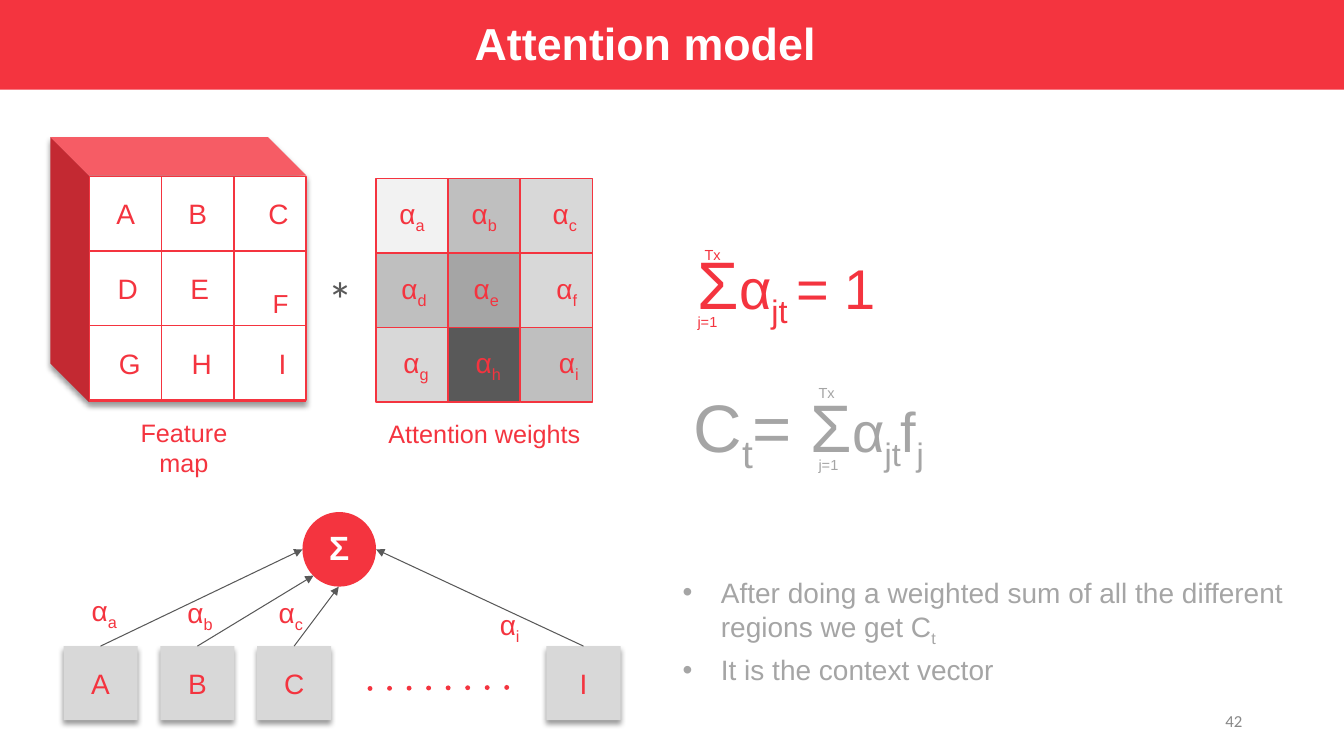
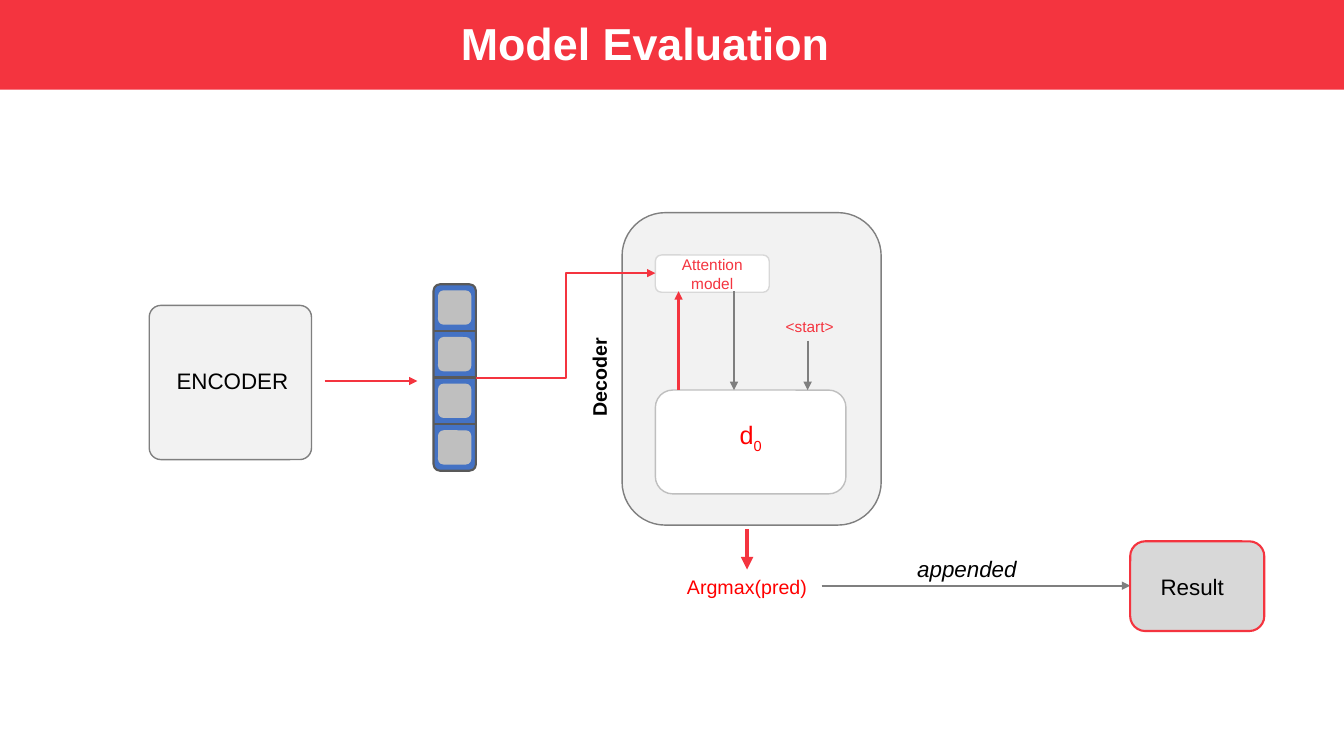
from lxml import etree
from pptx import Presentation
from pptx.dml.color import RGBColor
from pptx.enum.shapes import MSO_CONNECTOR, MSO_SHAPE
from pptx.enum.text import MSO_ANCHOR, MSO_AUTO_SIZE, PP_ALIGN
from pptx.oxml.ns import qn
from pptx.util import Inches, Pt

COLORS = {
    "red": "F4343F", "pure_red": "FF0000", "white": "FFFFFF", "black": "000000",
    "pale": "F2F2F2", "light": "D8D8D8", "silver": "BFBFBF", "gray": "A5A5A5",
    "page": "888888", "mid": "7F7F7F", "dark": "595959", "blue": "4472C4",
}
SLIDE_WIDTH, SLIDE_HEIGHT = 13.33, 7.5
BAND_HEIGHT = 0.89
TITLE_ONLY, TITLE_AND_CONTENT = 5, 1
CELL_WIDTH, CELL_HEIGHT = 0.715, 0.74


def rgb(name):
    return RGBColor.from_string(COLORS[name])


def inches(*lengths):
    return [Inches(length) for length in lengths]


def add_xml(parent, tag, **attributes):
    return etree.SubElement(parent, qn(tag), attributes)


def write(paragraph, runs, size, color, font="Arial", bold=False, italic=False,
          align=PP_ALIGN.CENTER):
    """Fill a paragraph; a run is text or (text, size), and a leading _ lowers it."""
    paragraph.alignment = align
    paragraph.font.name = font
    paragraph.font.size = Pt(size)
    paragraph.font.bold = bold
    paragraph.font.italic = italic
    paragraph.font.color.rgb = rgb(color)
    for part in [runs] if isinstance(runs, str) else runs:
        text, run_size = part if isinstance(part, tuple) else (part, None)
        run = paragraph.add_run()
        run.text = text.removeprefix("_")
        if run_size:
            run.font.size = Pt(run_size)
        if text.startswith("_"):
            run._r.get_or_add_rPr().set("baseline", "-25000")


def add_label(slide, box, runs, size, color="red", **style):
    label = slide.shapes.add_textbox(*inches(*box))
    label.text_frame.word_wrap = True
    write(label.text_frame.paragraphs[0], runs, size, color, **style)
    return label


def add_box(slide, box, fill, line=None, width=1, kind=MSO_SHAPE.RECTANGLE,
            corner=None, shadow=False):
    shape = slide.shapes.add_shape(kind, *inches(*box))
    shape.shadow.inherit = False
    if shadow:
        effects = shape.element.spPr.find(qn("a:effectLst"))
        outer = add_xml(effects, "a:outerShdw", blurRad=str(Pt(4)), dist=str(Pt(3)),
                        dir="5400000", algn="t", rotWithShape="0")
        black = add_xml(outer, "a:srgbClr", val=COLORS["black"])
        add_xml(black, "a:alpha", val="40000")
    shape.fill.solid()
    shape.fill.fore_color.rgb = rgb(fill)
    if line:
        shape.line.color.rgb = rgb(line)
        shape.line.width = Pt(width)
    else:
        shape.line.fill.background()
    if corner is not None:
        shape.adjustments[0] = corner
    return shape


def add_round_box(slide, box, fill, line=None, width=1, corner=0.167):
    return add_box(slide, box, fill, line, width, MSO_SHAPE.ROUNDED_RECTANGLE, corner)


def caption(shape, runs, size, color, insets=(0, 0, 0, 0), wrap=False, **style):
    """Centre text in a shape; insets are left, top, right, bottom."""
    frame = shape.text_frame
    (frame.margin_left, frame.margin_top,
     frame.margin_right, frame.margin_bottom) = inches(*insets)
    frame.word_wrap = wrap
    frame.vertical_anchor = MSO_ANCHOR.MIDDLE
    write(frame.paragraphs[0], runs, size, color, **style)


def add_line(slide, start, end, color, width, arrow=True, kind=MSO_CONNECTOR.STRAIGHT,
             dotted=False):
    connector = slide.shapes.add_connector(kind, *inches(*start, *end))
    connector.line.color.rgb = rgb(color)
    connector.line.width = Pt(width)
    properties = connector.element.spPr
    outline = properties.find(qn("a:ln"))
    if dotted:
        outline.set("cap", "rnd")
        add_xml(outline, "a:prstDash", val="dot")
    if arrow:
        add_xml(outline, "a:tailEnd", type="triangle")
    add_xml(properties, "a:effectLst")


def add_titled_slide(deck, layout, title):
    slide = deck.slides.add_slide(deck.slide_layouts[layout])
    band = add_box(slide, (0, 0, SLIDE_WIDTH, BAND_HEIGHT), "red")
    slide.shapes._spTree.insert(2, band.element)
    heading = slide.shapes.title
    heading.left, heading.top, heading.width, heading.height = inches(2.19, 0.1, 8.42, 0.64)
    heading.text_frame.auto_size = MSO_AUTO_SIZE.NONE
    heading.text_frame.vertical_anchor = MSO_ANCHOR.MIDDLE
    write(heading.text_frame.paragraphs[0], title, 32, "white", bold=True)
    return slide


def add_grid(slide, left, top, rows):
    """Three by three cells, each given as (runs, size, fill)."""
    for row, cells in enumerate(rows):
        for column, (runs, size, fill) in enumerate(cells):
            cell = add_box(slide, (left + column * CELL_WIDTH, top + row * CELL_HEIGHT,
                                   CELL_WIDTH, CELL_HEIGHT), fill, "red")
            indent = 0.04 * row + (0.17 if column == 2 else 0)
            caption(cell, runs, size, "red", (indent, 0, 0, 0))


def add_feature_map(slide, left, top):
    cube = add_box(slide, (left, top, 2.54, 2.63), "red", kind=MSO_SHAPE.CUBE,
                   corner=0.151, shadow=True)
    cube.element.spPr.get_or_add_xfrm().set("flipH", "1")
    rows = [[(letter, 20, "white") for letter in letters] for letters in ("ABC", "DEF", "GHI")]
    rows[1][2] = (["_F"], 32, "white")
    add_grid(slide, left + 0.39, top + 0.39, rows)
    name = add_label(slide, (left + 0.24, top + 2.73, 2.17, 0.71), "Feature", 18)
    write(name.text_frame.add_paragraph(), "map", 18, "red")


def add_attention_weights(slide, left, top):
    shades = (("a", "pale"), ("b", "silver"), ("c", "light"),
              ("d", "silver"), ("e", "gray"), ("f", "light"),
              ("g", "light"), ("h", "dark"), ("i", "silver"))
    cells = [(["α", "_" + index], 20, shade) for index, shade in shades]
    add_grid(slide, left, top, [cells[start:start + 3] for start in (0, 3, 6)])
    add_label(slide, (left - 0.01, top + 2.33, 2.17, 0.71), "Attention weights", 18)


def add_weighted_sum(slide, left, top):
    region_size, region_top = 0.735, top + 1.33
    total = add_box(slide, (left + 2.37, top, 0.73, 0.74), "red", kind=MSO_SHAPE.OVAL)
    caption(total, "Σ", 24, "white", (0, 0, 0, 0.04), bold=True)
    regions = (  # letter, region left, weight index, weight place, arrow end
        ("A", 0, "a", (0.13, 0.76), (2.37, 0.37)),
        ("B", 0.96, "b", (1.08, 0.78), (2.48, 0.63)),
        ("C", 1.92, "c", (1.98, 0.78), (2.73, 0.74)),
        ("I", 4.79, "i", (4.15, 0.9), (3.1, 0.37)),
    )
    for letter, offset, index, (weight_x, weight_y), (end_x, end_y) in regions:
        region_left = left + offset
        region = add_box(slide, (region_left, region_top, region_size, region_size),
                         "light", shadow=True)
        caption(region, letter, 20, "red")
        add_line(slide, (region_left + region_size / 2, region_top),
                 (left + end_x, top + end_y), "dark", 0.75)
        add_label(slide, (left + weight_x, top + weight_y, 0.55, 0.44),
                  ["α", "_" + index], 20)
    add_line(slide, (left + 3.04, top + 1.75), (left + 4.4, top + 1.74), "red", 3.5,
             arrow=False, dotted=True)


def add_formula(slide, box, runs, color, lower, upper):
    """A formula whose sum limits sit at offsets from its top left corner."""
    left, top = box[:2]
    add_label(slide, box, runs, 40, color, align=PP_ALIGN.LEFT)
    for limit, (x, y) in (("_j=1", lower), ("_Tx", upper)):
        add_label(slide, (left + x, top + y, 0.57, 0.4), [limit], 18, color,
                  align=PP_ALIGN.LEFT)


def add_conclusions(slide, box):
    body = slide.placeholders[1]
    body.left, body.top, body.width, body.height = inches(*box)
    frame = body.text_frame
    frame.auto_size = MSO_AUTO_SIZE.NONE
    points = (["After doing a weighted sum of all the different regions we get C", "_t"],
              "It is the context vector")
    for number, runs in enumerate(points):
        point = frame.add_paragraph() if number else frame.paragraphs[0]
        properties = point._p.get_or_add_pPr()
        properties.set("marL", str(Inches(0.38)))
        properties.set("indent", str(Inches(-0.38)))
        bullet_color = add_xml(properties, "a:buClr")
        add_xml(bullet_color, "a:srgbClr", val=COLORS["gray"])
        add_xml(properties, "a:buFont", typeface="Arial")
        add_xml(properties, "a:buChar", char="•")
        point.space_before = Pt(4 if number else 0)
        write(point, runs, 20, "gray", align=PP_ALIGN.LEFT)


def build_attention_model(deck):
    slide = add_titled_slide(deck, TITLE_AND_CONTENT, "Attention model")
    add_conclusions(slide, (6.67, 5.66, 6.47, 1.11))
    add_formula(slide, (6.82, 2.35, 2.53, 0.91), [("Σ", 48), "α", "_jt ", "= 1"],
                "red", lower=(0, 0.54), upper=(0.07, -0.13))
    add_formula(slide, (6.78, 3.77, 4.11, 0.91),
                [("C", 48), ("_t", 48), ("= Σ", 48), "α", "_jt", "f", "_j"],
                "gray", lower=(1.24, 0.54), upper=(1.24, -0.18))
    add_label(slide, (3.13, 2.61, 0.49, 0.71), "*", 36, "dark", font="Calibri")
    add_attention_weights(slide, 3.73, 1.77)
    add_feature_map(slide, 0.5, 1.36)
    add_weighted_sum(slide, 0.63, 5.08)
    page = add_label(slide, (9.42, 6.95, 3, 0.4), "42", 12, "page", font="Calibri",
                     align=PP_ALIGN.RIGHT)
    page.text_frame.vertical_anchor = MSO_ANCHOR.MIDDLE


def add_feature_vector(slide, left, top):
    width, height, count = 0.42, 1.85, 4
    cell_width, cell_height = 0.33, 0.34
    step = height / count
    add_round_box(slide, (left, top, width, height), "blue", "dark", 1.5, corner=0.152)
    for number in range(count):
        step_top = top + number * step
        if number:
            add_line(slide, (left, step_top), (left + width, step_top), "dark", 1.5,
                     arrow=False)
        add_round_box(slide, (left + (width - cell_width) / 2,
                              step_top + (step - cell_height) / 2,
                              cell_width, cell_height), "silver")


def add_decoder(slide, left, top):
    add_round_box(slide, (left, top, 2.57, 3.1), "pale", "mid")
    name = add_label(slide, (left - 0.97, top + 1.46, 1.49, 0.34), "Decoder", 14, "black",
                     bold=True)
    name.rotation = 270
    state_top, attention_bottom = top + 1.76, top + 0.78
    state = add_round_box(slide, (left + 0.33, state_top, 1.89, 1.03), "white", "silver")
    caption(state, ["d", "_0"], 18, "pure_red", (0, 0, 0, 0.1))
    attention = add_round_box(slide, (left + 0.33, top + 0.42, 1.13, 0.37), "white", "light")
    caption(attention, "Attention model", 11, "red", (0.22, 0, 0.22, 0), wrap=True)
    add_label(slide, (left + 1.42, top + 0.99, 0.88, 0.29), "<start>", 11)
    for x, start, end, color in ((0.56, state_top, attention_bottom, "red"),
                                 (1.11, attention_bottom, state_top, "mid"),
                                 (1.84, top + 1.27, state_top, "mid")):
        add_line(slide, (left + x, start), (left + x, end), color, 1.5)


def add_prediction(slide, left, top):
    """The decoder's output and the result it is appended to."""
    add_line(slide, (left + 0.88, top), (left + 0.88, top + 0.4), "red", 3)
    add_label(slide, (left, top + 0.4, 1.76, 0.34), "Argmax(pred)", 14, "pure_red")
    add_line(slide, (left + 1.62, top + 0.56), (left + 4.68, top + 0.56), "mid", 1.5)
    add_label(slide, (left + 2.43, top + 0.21, 1.26, 0.37), "appended", 16, "black",
              italic=True)
    result = add_round_box(slide, (left + 4.68, top + 0.12, 1.33, 0.89), "light", "red", 1.5)
    caption(result, "Result", 16, "black", (0, 0, 0.1, 0))


def build_model_evaluation(deck):
    slide = add_titled_slide(deck, TITLE_ONLY, "Model Evaluation")
    encoder = add_round_box(slide, (1.48, 3.03, 1.61, 1.53), "pale", "mid", corner=0.076)
    caption(encoder, "ENCODER", 16, "black", (0.04, 0, 0, 0.04))
    add_line(slide, (3.22, 3.78), (4.14, 3.78), "red", 0.75)
    add_feature_vector(slide, 4.3, 2.82)
    add_decoder(slide, 6.17, 2.11)
    add_line(slide, (4.72, 3.75), (6.5, 2.71), "red", 1.5, kind=MSO_CONNECTOR.ELBOW)
    add_prediction(slide, 6.53, 5.25)


def main():
    deck = Presentation()
    deck.slide_width, deck.slide_height = inches(SLIDE_WIDTH, SLIDE_HEIGHT)
    build_attention_model(deck)
    build_model_evaluation(deck)
    deck.save("out.pptx")


if __name__ == "__main__":
    main()
